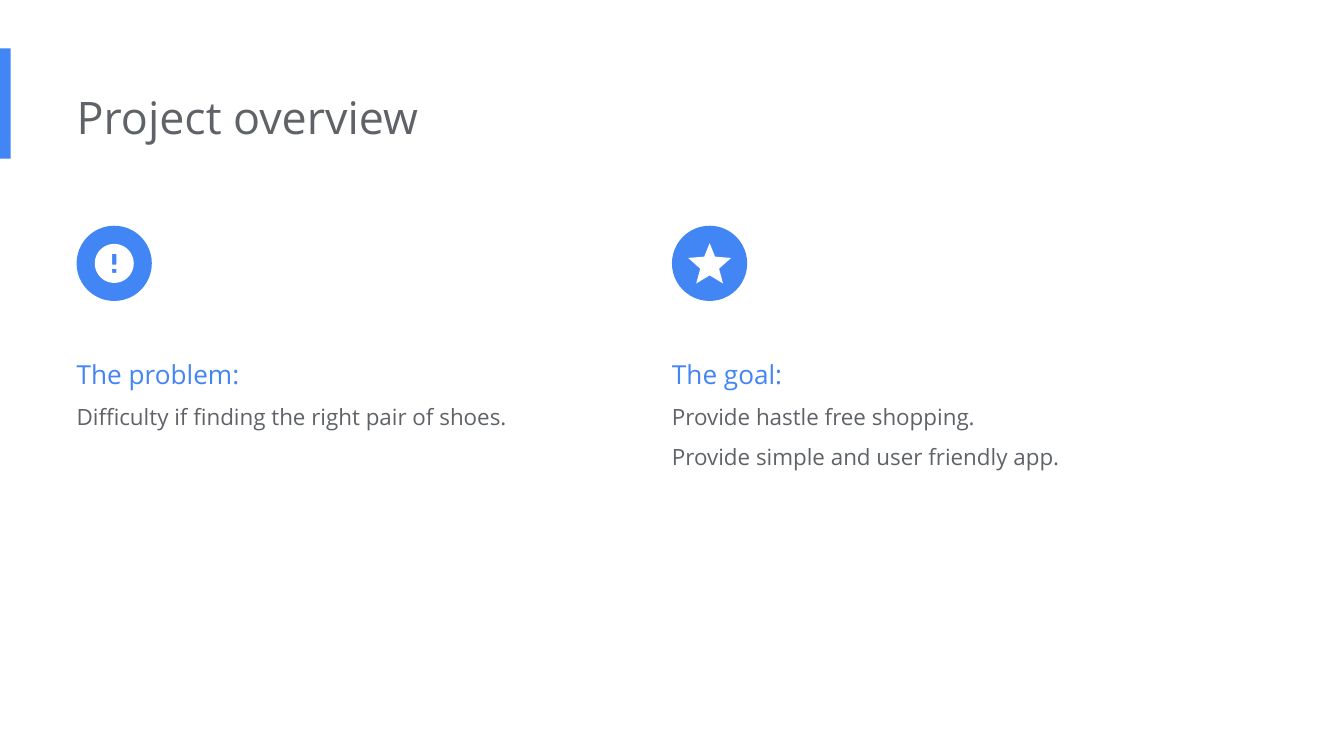
import math

from pptx import Presentation
from pptx import util as u
from pptx.dml import color
from pptx.enum import shapes, text

COLORS = {"blue": "4285F4", "gray": "5F6368", "white": "FFFFFF"}
FONT = "Open Sans"
LEFT = 0.57
ICON_TOP, ICON_SIZE = 1.68, 0.56
COLUMNS = [
    (LEFT, "The problem:", ["Difficulty if finding the right pair of shoes."], 0.86),
    (5, "The goal:", ["Provide hastle free shopping.",
                      "Provide simple and user friendly app."], 1.16),
]


def rgb(name):
    return color.RGBColor.from_string(COLORS[name])


def paint(shape, name):
    shape.shadow.inherit = False
    shape.fill.solid()
    shape.fill.fore_color.rgb = rgb(name)
    shape.line.fill.background()


def add_filled(s, kind, box, name):
    shape = s.shapes.add_shape(kind, *map(u.Inches, box))
    paint(shape, name)


def add_outline(s, center, contours, name):
    cx, cy = center
    builder = None
    for contour in contours:
        points = [(u.Inches(cx + x), u.Inches(cy + y)) for x, y in contour]
        if builder is None:
            builder = s.shapes.build_freeform(*points[0])
        else:
            builder.move_to(*points[0])
        builder.add_line_segments(points[1:], close=True)
    paint(builder.convert_to_shape(), name)


def format_frame(tf):
    settings = {
        "word_wrap": True,
        "vertical_anchor": text.MSO_ANCHOR.TOP,
        "auto_size": text.MSO_AUTO_SIZE.SHAPE_TO_FIT_TEXT,
        "margin_left": 0,
        "margin_top": u.Inches(0.1),
        "margin_right": u.Inches(0.1),
        "margin_bottom": u.Inches(0.1),
    }
    for key, value in settings.items():
        setattr(tf, key, value)


def write_line(p, words, size, name, spacing=1.0):
    p.alignment = text.PP_ALIGN.LEFT
    p.line_spacing = spacing
    r = p.add_run()
    r.text = words
    for key, value in {"name": FONT, "size": u.Pt(size), "bold": False}.items():
        setattr(r.font, key, value)
    r.font.color.rgb = rgb(name)


def add_title(s, words):
    title = s.shapes.title
    box = {"left": LEFT, "top": 0.57, "width": 6.73, "height": 0.61}
    for key, value in box.items():
        setattr(title, key, u.Inches(value))
    format_frame(title.text_frame)
    write_line(title.text_frame.paragraphs[0], words, 24, "gray")


def add_column(s, left, heading, lines, height):
    add_filled(s, shapes.MSO_SHAPE.OVAL, (left, ICON_TOP, ICON_SIZE, ICON_SIZE), "blue")
    tb = s.shapes.add_textbox(*map(u.Inches, (left, 2.45, 3.77, height)))
    tf = tb.text_frame
    format_frame(tf)
    write_line(tf.paragraphs[0], heading, 14, "blue", 1.5)
    for line in lines:
        write_line(tf.add_paragraph(), line, 12, "gray", 1.5)


def rectangle(width, top, bottom):
    x = width / 2
    return [(-x, top), (x, top), (x, bottom), (-x, bottom)]


def exclamation_contours():
    radius, steps = 0.29 / 2, 72
    angles = [2 * math.pi * i / steps for i in range(steps)]
    disc = [(radius * math.cos(a), radius * math.sin(a)) for a in angles]
    return [disc, rectangle(0.03, -0.07, 0.01), rectangle(0.03, 0.04, 0.07)]


def star_contours():
    right = [(0.04, -0.05), (0.16, -0.04), (0.07, 0.04), (0.1, 0.15)]
    left = [(-x, y) for x, y in reversed(right)]
    return [[(0, -0.15), *right, (0, 0.09), *left]]


def main():
    prs = Presentation()
    prs.slide_width = u.Inches(10)
    prs.slide_height = prs.slide_width * 9 // 16
    s = prs.slides.add_slide(prs.slide_layouts[5])
    add_filled(s, shapes.MSO_SHAPE.RECTANGLE, (0, 0.36, 0.08, 0.82), "blue")
    add_title(s, "Project overview")
    icons = [exclamation_contours(), star_contours()]
    for column, contours in zip(COLUMNS, icons):
        add_column(s, *column)
        center = (column[0] + ICON_SIZE / 2, ICON_TOP + ICON_SIZE / 2)
        add_outline(s, center, contours, "white")
    prs.save("out.pptx")


if __name__ == "__main__":
    main()
